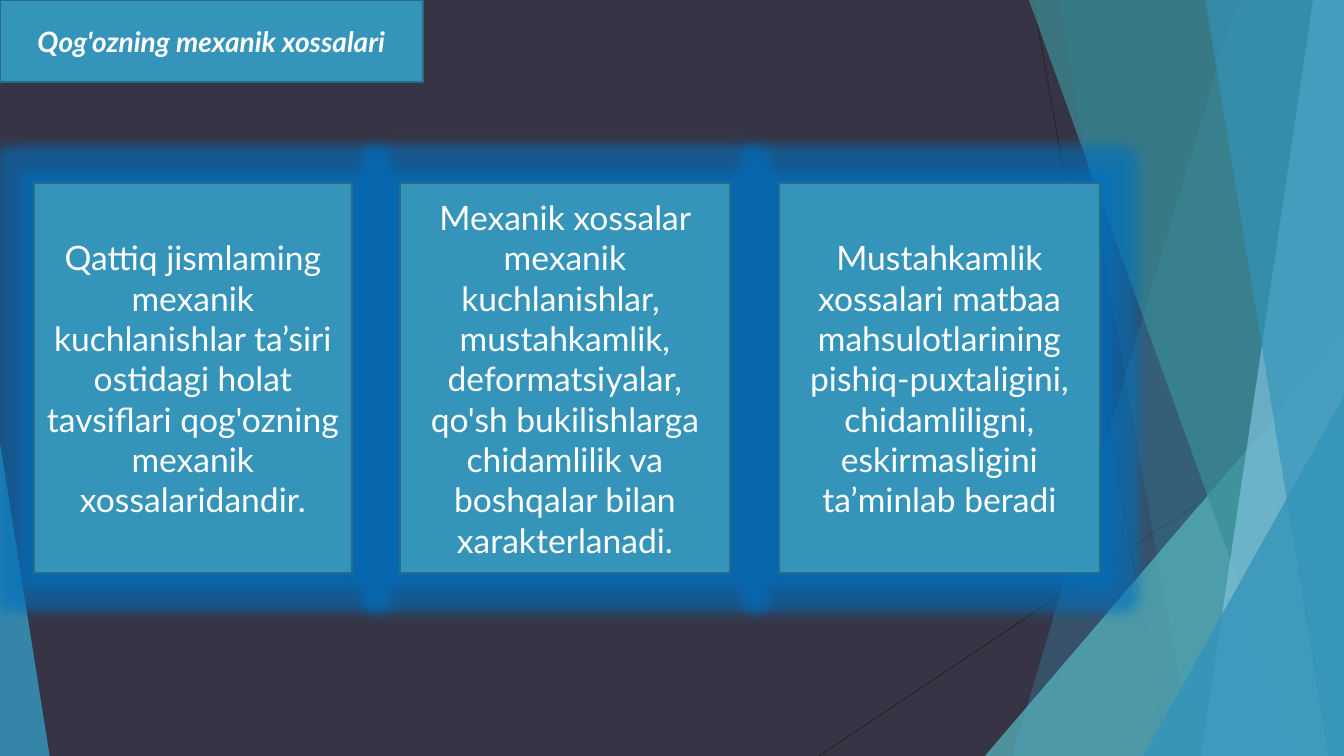
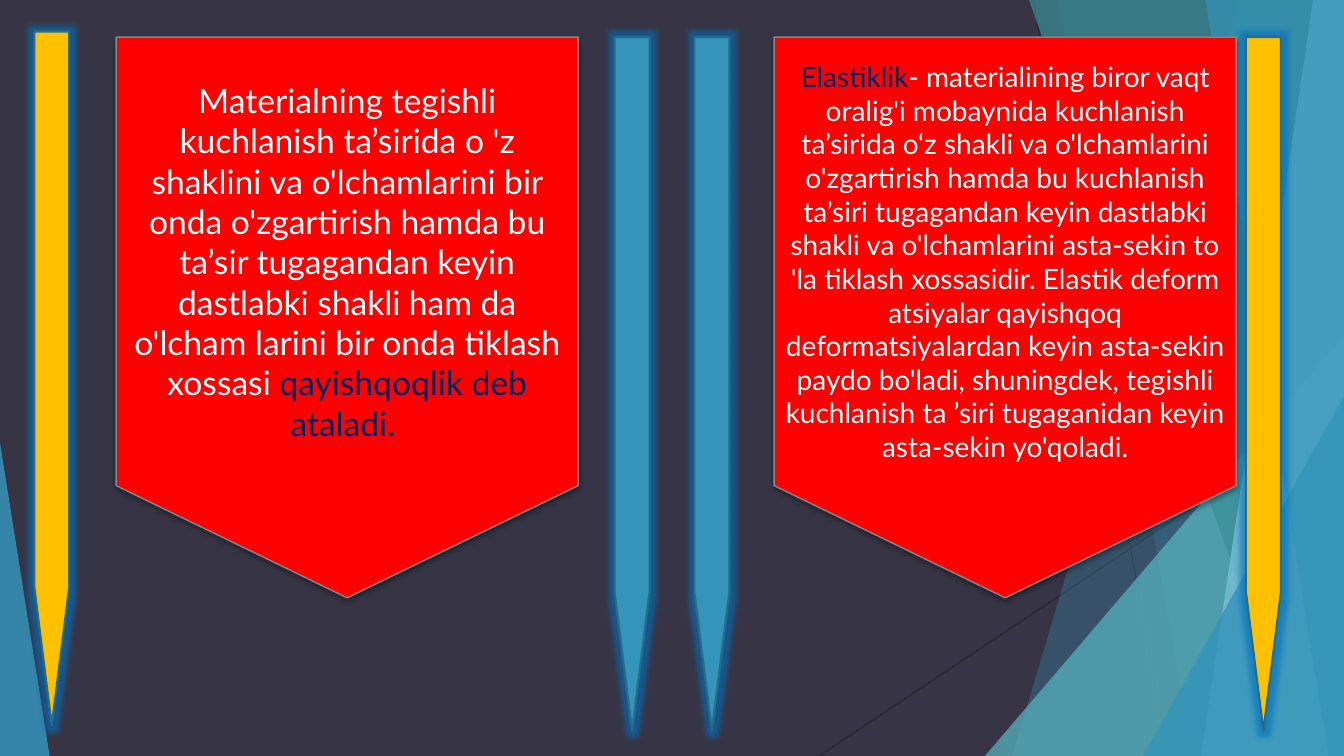
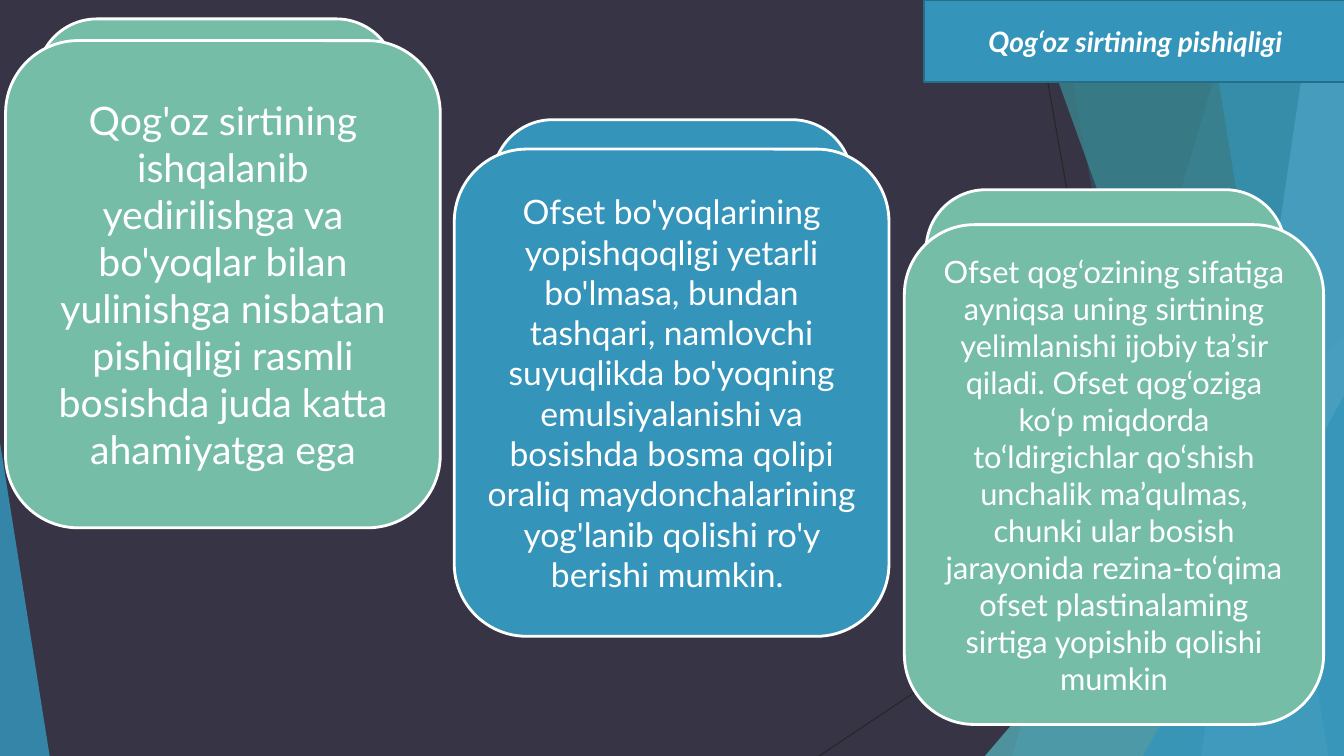
"""Build three slides on the mechanical properties of paper."""
from lxml.etree import SubElement
from pptx import Presentation
from pptx.dml.color import RGBColor
from pptx.enum.shapes import MSO_CONNECTOR, MSO_SHAPE
from pptx.enum.text import MSO_ANCHOR, MSO_AUTO_SIZE, PP_ALIGN
from pptx.oxml import parse_xml
from pptx.oxml.ns import nsdecls, qn
from pptx.util import Pt

C = {
    "bg": "373545", "blue": "3494BA", "edge": "266D8A", "teal": "58B6C0",
    "sea": "3A8F98", "sky": "7FC1DB", "green": "75BDA7", "red": "FF0000",
    "gold": "FFC000", "grey": "7A8C8E", "hair": "262626", "white": "FFFFFF",
    "navy": "002060", "glow": "0070C0", "black": "000000",
}
FONT = "Lato"
W, H = 960, 540
TITLE_W, TITLE_H = 302, 58.5
GLOW = (f'<a:glow {nsdecls("a")} rad="%d"><a:srgbClr val="{C["glow"]}">'
        '<a:alpha val="60000"/></a:srgbClr></a:glow>')
SHADOW = (f'<a:outerShdw {nsdecls("a")} blurRad="{Pt(3)}" dist="{Pt(2)}" dir="5400000">'
          f'<a:srgbClr val="{C["black"]}"><a:alpha val="35000"/></a:srgbClr></a:outerShdw>')


def style(sp, fill, line=None, width=1.5, alpha=100, effect=None):
    sp.shadow.inherit = False
    sp.fill.solid()
    sp.fill.fore_color.rgb = RGBColor.from_string(C[fill])
    if alpha < 100:
        clr = sp.element.spPr.find(qn("a:solidFill"))[0]
        SubElement(clr, qn("a:alpha")).set("val", str(alpha * 1000))
    if line:
        sp.line.color.rgb = RGBColor.from_string(C[line])
        sp.line.width = Pt(width)
    else:
        sp.line.fill.background()
    if effect:
        sp.element.spPr.find(qn("a:effectLst")).append(parse_xml(effect))


def write(sp, size, *paras):
    tf = sp.text_frame
    tf.word_wrap = True
    tf.auto_size = MSO_AUTO_SIZE.NONE
    tf.vertical_anchor = MSO_ANCHOR.MIDDLE
    for i, runs in enumerate(paras):
        p = tf.add_paragraph() if i else tf.paragraphs[0]
        p.alignment = PP_ALIGN.CENTER
        p.font.name = FONT
        p.font.size = Pt(size)
        for text, color in runs:
            r = p.add_run()
            r.text = text
            r.font.color.rgb = RGBColor.from_string(C[color])


prs = Presentation()
prs.slide_width, prs.slide_height = Pt(W), Pt(H)
master = prs.slide_master
master.background.fill.solid()
master.background.fill.fore_color.rgb = RGBColor.from_string(C["bg"])
title_only, blank = prs.slide_layouts[5], prs.slide_layouts[6]
s1, s2, s3 = [prs.slides.add_slide(layout) for layout in (title_only, blank, title_only)]

decor = []
for x1, y1, x2, y2 in [(738, 0, 834, H), (W, 290, 585, H)]:
    ln = s2.shapes.add_connector(MSO_CONNECTOR.STRAIGHT, Pt(x1), Pt(y1), Pt(x2), Pt(y2))
    ln.line.color.rgb = RGBColor.from_string(C["hair"])
    ln.line.width = Pt(0.75)
    SubElement(ln.element.spPr, qn("a:effectLst"))
    decor.append(ln)

facets = [
    ("band", (884, 723), "blue", 30),
    ("band", (756, 852), "blue", 20),
    ("triangle", (703.5, 240, 256.5, 1), "teal", 72),
    ("band", (735, 929.5), "sea", 70),
    ("band", (938, 858), "sky", 70),
    ("band", (861, 949), "blue", 65),
    ("triangle", (816.5, 283, 143.5, 1), "blue", 80),
    ("triangle", (0, 316, 35.5, 0), "blue", 85),
]
for kind, geometry, color, alpha in facets:
    if kind == "band":
        top, bottom = geometry
        fb = s2.shapes.build_freeform(Pt(top), 0)
        fb.add_line_segments([(Pt(W), 0), (Pt(W), Pt(H)), (Pt(bottom), Pt(H))])
        sp = fb.convert_to_shape()
    else:
        x, y, w, apex = geometry
        sp = s2.shapes.add_shape(MSO_SHAPE.ISOSCELES_TRIANGLE, Pt(x), Pt(y), Pt(w), Pt(H - y))
        sp.adjustments[0] = apex
    style(sp, color, alpha=alpha)
    decor.append(sp)
for sp in decor:
    master.shapes.element.append(sp.element)

titles = [
    (s1, 0, "Qog'ozning mexanik xossalari"),
    (s3, 660, "Qog‘oz sirtining pishiqligi"),
]
for s, x, text in titles:
    sp = s.shapes.title
    sp.left, sp.top, sp.width, sp.height = Pt(x), 0, Pt(TITLE_W), Pt(TITLE_H)
    geom = SubElement(sp.element.spPr, qn("a:prstGeom"))
    geom.set("prst", "roundRect")
    SubElement(geom, qn("a:avLst"))
    style(sp, "blue", "edge")
    write(sp, 20, [(text, "white")])
    p = sp.text_frame.paragraphs[0]
    p.font.bold = p.font.italic = True

panels = [
    (24, 227.5, ["Qattiq jismlaming mexanik kuchlanishlar ta’siri ostidagi holat tavsiflari "
                 "qog'ozning mexanik xossalaridandir."]),
    (556.5, 229, ["Mustahkamlik xossalari matbaa mahsulotlarining pishiq-puxtaligini, "
                  "chidamliligni, eskirmasligini ta’minlab beradi"]),
    (285.5, 236, ["Mexanik xossalar mexanik kuchlanishlar, ",
                  "mustahkamlik, deformatsiyalar, qo'sh bukilishlarga chidamlilik va "
                  "boshqalar bilan xarakterlanadi."]),
]
for x, w, texts in panels:
    sp = s1.shapes.add_shape(MSO_SHAPE.RECTANGLE, Pt(x), Pt(131), Pt(w), Pt(278.5))
    style(sp, "blue", "edge", effect=GLOW % Pt(18))
    write(sp, 24, *[[(text, "white")] for text in texts])

bars = [(439, 26.5, "blue"), (496, 26.5, "blue"), (890, 26.5, "gold"), (24.5, 22.5, "gold")]
for x, y, color in bars:
    sp = s2.shapes.add_shape(MSO_SHAPE.FLOWCHART_OFFPAGE_CONNECTOR, Pt(x), Pt(y), Pt(25), Pt(495.5))
    style(sp, color, "edge", effect=GLOW % Pt(8))

banners = [
    (83, 24, [
        ("Materialning tegishli kuchlanish ta’sirida o 'z shaklini va o'lchamlarini bir onda "
         "o'zgartirish hamda bu ta’sir tugagandan keyin dastlabki shakli ham da o'lcham larini "
         "bir onda tiklash xossasi ", "white"),
        ("qayishqoqlik deb ataladi. ", "navy")]),
    (553, 20, [
        ("Elastiklik", "navy"),
        ("- materialining biror vaqt oralig'i mobaynida kuchlanish ta’sirida o‘z shakli va "
         "o'lchamlarini o'zgartirish hamda bu kuchlanish ta’siri tugagandan keyin dastlabki "
         "shakli va o'lchamlarini asta-sekin to 'la tiklash xossasidir. Elastik deform atsiyalar "
         "qayishqoq deformatsiyalardan keyin asta-sekin paydo bo'ladi, shuningdek, tegishli "
         "kuchlanish ta ’siri tugaganidan keyin asta-sekin yo'qoladi.", "white")]),
]
for x, size, runs in banners:
    sp = s2.shapes.add_shape(MSO_SHAPE.FLOWCHART_OFFPAGE_CONNECTOR, Pt(x), Pt(26.5), Pt(330), Pt(400.5))
    style(sp, "red", "grey", 1, effect=SHADOW)
    write(sp, size, runs)

cards = [
    ((661.5, 135.5), (646, 160.5, 299.5, 357), "green", 22,
     "Ofset qog‘ozining sifatiga ayniqsa uning sirtining yelimlanishi ijobiy ta’sir qiladi. "
     "Ofset qog‘oziga ko‘p miqdorda to‘ldirgichlar qo‘shish unchalik ma’qulmas, chunki ular "
     "bosish jarayonida rezina-to‘qima ofset plastinalaming sirtiga yopishib qolishi mumkin"),
    ((352, 85.5), (324.5, 106.5, 310.5, 348), "blue", 24,
     "Ofset bo'yoqlarining yopishqoqligi yetarli bo'lmasa, bundan tashqari, namlovchi "
     "suyuqlikda bo'yoqning emulsiyalanishi va bosishda bosma qolipi oraliq "
     "maydonchalarining yog'lanib qolishi ro'y berishi mumkin. "),
    ((26.5, 13.5), (4, 29, 310.5, 348), "green", 28,
     "Qog'oz sirtining ishqalanib yedirilishga va bo'yoqlar bilan yulinishga nisbatan "
     "pishiqligi rasmli bosishda juda katta ahamiyatga ega"),
]
for back, front, color, size, text in cards:
    for x, y, w, h in [(*back, 256.5, 325.5), front]:
        sp = s3.shapes.add_shape(MSO_SHAPE.ROUNDED_RECTANGLE, Pt(x), Pt(y), Pt(w), Pt(h))
        style(sp, color, "white", 2)
    write(sp, size, [(text, "white")])

prs.save("out.pptx")
